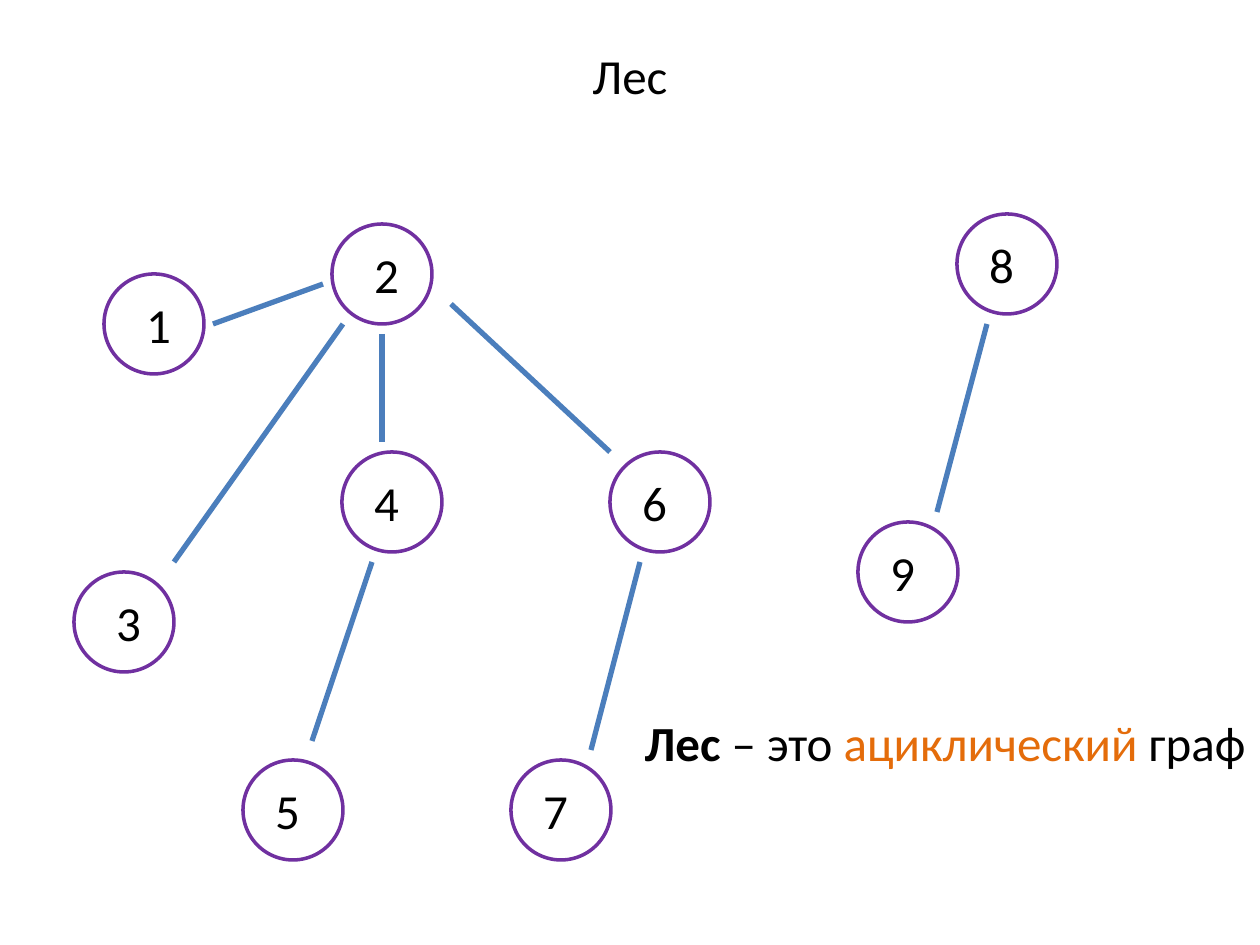
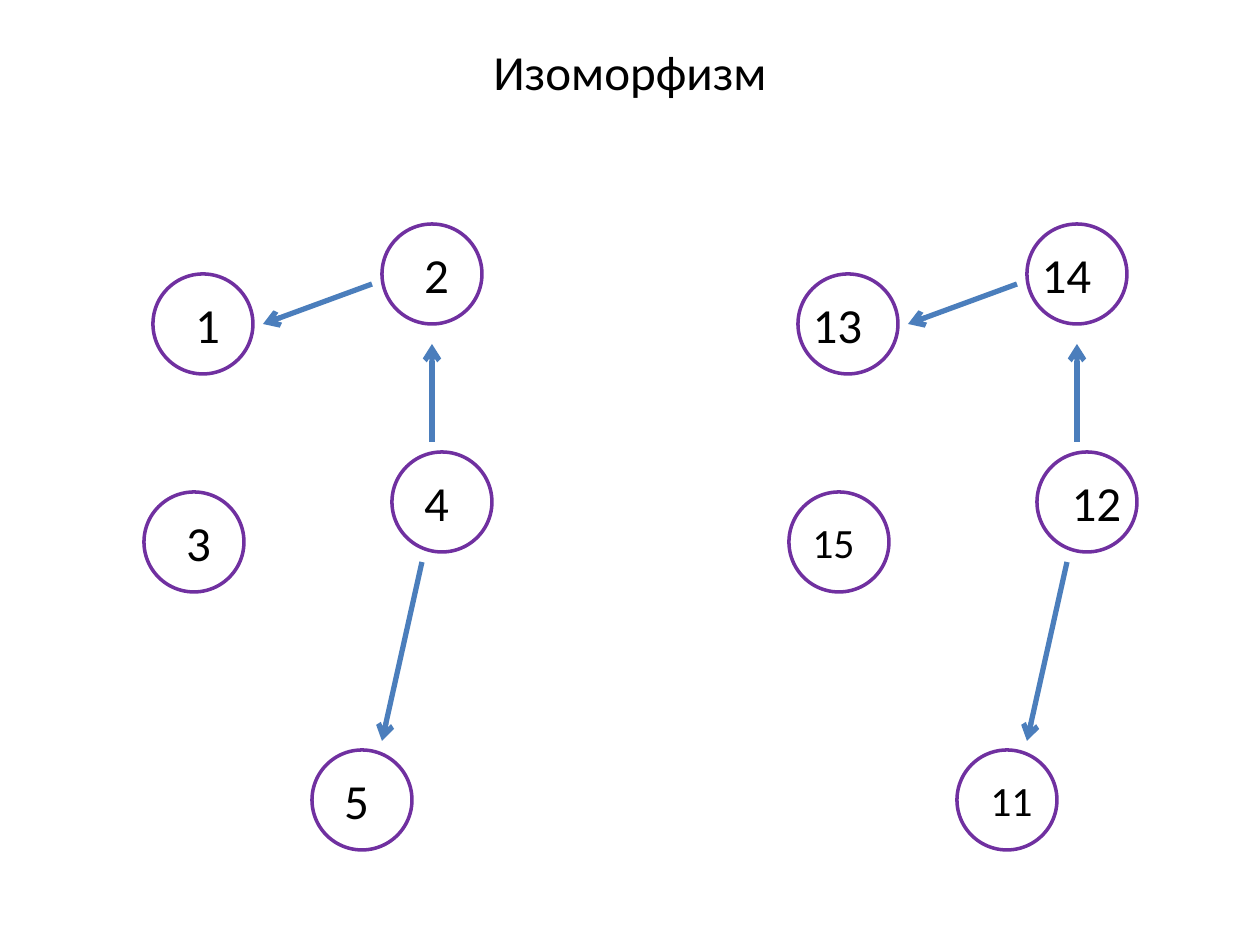
from lxml import etree
from pptx import Presentation
from pptx.dml.color import RGBColor
from pptx.enum.shapes import MSO_CONNECTOR, MSO_SHAPE
from pptx.enum.text import MSO_ANCHOR, PP_ALIGN
from pptx.oxml.ns import qn
from pptx.util import Pt

STRAIGHT = MSO_CONNECTOR.STRAIGHT
OVAL = MSO_SHAPE.OVAL
MIDDLE = MSO_ANCHOR.MIDDLE
CENTER = PP_ALIGN.CENTER

WHITE = RGBColor(0xFF, 0xFF, 0xFF)
BLACK = RGBColor(0x00, 0x00, 0x00)
PURPLE = RGBColor(0x70, 0x30, 0xA0)
BLUE = RGBColor(0x4B, 0x7E, 0xBC)
ORANGE = RGBColor(0xE4, 0x6C, 0x0A)

EMU_PER_PX = 914400 / 126
SLIDE_WIDTH, SLIDE_HEIGHT = 1260, 945
TITLE_HEIGHT = 149
NODE_SIZE = 100
LABEL_TOP, LABEL_HEIGHT = 10, 79


def px(length):
    return round(length * EMU_PER_PX)


class GraphDeck:
    font = {"name": "Calibri", "size": Pt(28)}
    frame_format = {
        "word_wrap": True, "vertical_anchor": MIDDLE,
        "margin_left": 0, "margin_right": 0, "margin_top": 0, "margin_bottom": 0,
    }

    def __init__(self):
        self.deck = Presentation()
        self.deck.slide_width = px(SLIDE_WIDTH)
        self.deck.slide_height = px(SLIDE_HEIGHT)
        self.slide = None

    def new_slide(self, title, title_top=0):
        self.slide = self.deck.slides.add_slide(self.deck.slide_layouts[6])
        self.text(0, title_top, SLIDE_WIDTH, TITLE_HEIGHT, [(title, {})])

    def text(self, left, top, width, height, runs):
        """Add centred text; runs are (wording, font changes) pairs."""
        box = self.slide.shapes.add_textbox(px(left), px(top), px(width), px(height))
        for name, value in self.frame_format.items():
            setattr(box.text_frame, name, value)
        paragraph = box.text_frame.paragraphs[0]
        paragraph.alignment = CENTER
        for wording, changes in runs:
            run = paragraph.add_run()
            run.text = wording
            look = {**self.font, **changes}
            run.font.color.rgb = look.pop("color", BLACK)
            for name, value in look.items():
                setattr(run.font, name, value)

    def node(self, left, top, label, label_left, label_width=49, size=28):
        circle = self.slide.shapes.add_shape(
            OVAL, px(left), px(top), px(NODE_SIZE), px(NODE_SIZE))
        circle.shadow.inherit = False
        circle.fill.solid()
        circle.fill.fore_color.rgb = WHITE
        circle.line.color.rgb = PURPLE
        circle.line.width = Pt(2)
        self.text(left + label_left, top + LABEL_TOP, label_width, LABEL_HEIGHT,
                  [(label, {"size": Pt(size)})])

    def edge(self, x1, y1, x2, y2, directed=False):
        edge = self.slide.shapes.add_connector(STRAIGHT, px(x1), px(y1), px(x2), px(y2))
        edge.line.color.rgb = BLUE
        edge.line.width = Pt(3)
        properties = edge.line._get_or_add_ln().getparent()
        etree.SubElement(properties, qn("a:effectLst"))
        if directed:
            etree.SubElement(properties.find(qn("a:ln")), qn("a:tailEnd"), type="arrow")


def forest_slide(deck):
    deck.new_slide("Лес")
    for node in [
        (104, 274, "1", 30), (332, 224, "2", 30), (74, 572, "3", 30),
        (342, 452, "4", 20), (243, 760, "5", 20), (610, 452, "6", 20),
        (511, 760, "7", 20), (957, 214, "8", 20), (858, 522, "9", 20),
    ]:
        deck.node(*node)
    for edge in [
        (323, 284, 213, 324), (174, 562, 343, 324), (382, 334, 382, 442),
        (372, 562, 312, 741), (640, 562, 591, 750), (451, 304, 610, 452),
        (987, 324, 937, 512),
    ]:
        deck.edge(*edge)
    deck.text(630, 667, 630, 149, [
        ("Лес", {"bold": True}), (" – это ", {}),
        ("ациклический", {"color": ORANGE}), (" граф", {}),
    ])


def isomorphism_slide(deck):
    deck.new_slide("Изоморфизм", title_top=-4)
    places = [(153, 274), (382, 224), (144, 492), (392, 452), (312, 750)]
    edges = [(372, 284, 263, 324), (432, 442, 432, 344), (422, 562, 382, 741)]
    left_labels = [("1", 30), ("2", 30), ("3", 30), ("4", 20), ("5", 20)]
    right_labels = [("13", 0, 79), ("14", 0, 79), ("15", 10, 69, 23.8),
                    ("12", 20, 79), ("11", 20, 69, 23.8)]
    for shift, labels in [(0, left_labels), (645, right_labels)]:
        for (left, top), label in zip(places, labels):
            deck.node(left + shift, top, *label)
        for x1, y1, x2, y2 in edges:
            deck.edge(x1 + shift, y1, x2 + shift, y2, directed=True)


def main():
    deck = GraphDeck()
    forest_slide(deck)
    isomorphism_slide(deck)
    deck.deck.save("out.pptx")


if __name__ == "__main__":
    main()
